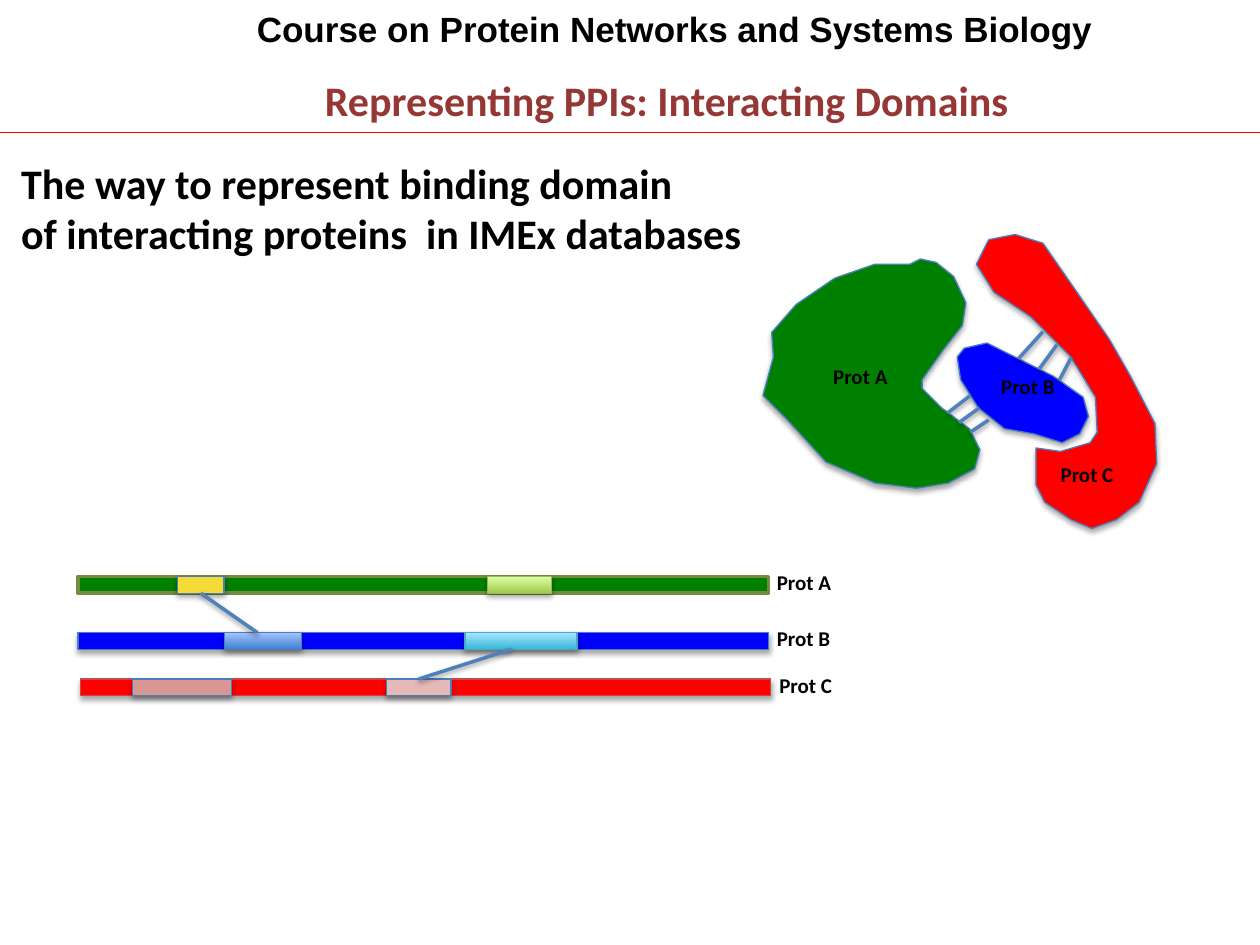
"""Build the slide on interacting protein domains."""
from dataclasses import dataclass
from typing import Optional

from lxml import etree
from pptx import Presentation
from pptx import util as u
from pptx.dml.color import RGBColor
from pptx.enum import shapes, text
from pptx.oxml.ns import qn

GREEN, BLUE, RED = "008000", "0000FF", "FF0000"
OUTLINE, LINK = "4B7EBC", "4F81BD"
BAR_WIDTH, BAR_HEIGHT = 394.5, 9.5
Point = tuple[float, float]


@dataclass(frozen=True)
class Shadow:
    alpha: int
    blur: float = 3.1
    distance: float = 1.8


SHAPE_SHADOW, LINK_SHADOW = Shadow(35), Shadow(38, distance=1.6)


@dataclass(frozen=True)
class Block:
    left: float
    top: float
    width: float
    fill: tuple[str, ...]
    line: str = OUTLINE
    weight: float = 0.75
    shadow: Optional[Shadow] = SHAPE_SHADOW


@dataclass(frozen=True)
class Label:
    lines: tuple[str, ...]
    left: float
    top: float
    width: float = 68
    height: float = 44
    size: float = 12
    font: str = "Calibri"
    color: str = "000000"
    wrap: bool = True


@dataclass(frozen=True)
class Protein:
    name: str
    bar: Block
    label_at: Point
    outline: tuple[Point, ...]


@dataclass(frozen=True)
class Link:
    start: Point
    end: Point
    color: str = LINK
    weight: float = 2
    shadow: Optional[Shadow] = LINK_SHADOW


PROTEINS = (
    Protein("Prot A", Block(44.6, 329.5, BAR_WIDTH, (GREEN,), "738A42", 2, None), (469, 204.5), (
        (520, 151), (500, 151), (477, 159), (455, 174), (441, 190), (442, 204), (436, 226),
        (450, 240), (472, 264), (500, 276), (524, 279), (542, 276), (557, 268), (560, 257),
        (554, 245), (538, 233), (527, 222), (527, 217), (539, 200), (550, 186), (552, 173),
        (545, 158), (535, 150), (526, 148))),
    Protein("Prot B", Block(44.6, 361.5, BAR_WIDTH, (BLUE,)), (565, 210), (
        (582, 205), (564, 196), (551, 199), (547, 204), (549, 217), (559, 233), (574, 245),
        (591, 248), (607, 253), (617, 248), (622, 238), (619, 227), (602, 215))),
    Protein("Prot C", Block(46, 388, BAR_WIDTH, (RED,), "BF4C48"), (599, 260), (
        (592, 256), (592, 277), (597, 287), (612, 297), (624, 302), (638, 297), (651, 287),
        (661, 265), (660, 242), (646, 215), (634, 194), (614, 165), (596, 139), (580, 134),
        (565, 137), (558, 151), (568, 167), (589, 181), (612, 204), (626, 227), (627, 247),
        (623, 253), (606, 258))),
)
TOP_A, TOP_B, TOP_C = (protein.bar.top for protein in PROTEINS)
YELLOW_DOMAIN = Block(101.5, TOP_A, 26.6, ("F5DB36",))
PINK_DOMAIN = Block(221, TOP_C, 36.7, ("E6B9B8",))
DOMAINS = (
    YELLOW_DOMAIN,
    Block(128.2, TOP_B, 43.9, ("3F80CE", "A4C4FF")),
    PINK_DOMAIN,
    Block(278.6, TOP_A, 36.7, ("A0CA4A", "DAFFA5"), "98B955"),
    Block(265.7, TOP_B, 64.1, ("39B7D8", "A7E6FF"), "46AAC5"),
    Block(75.6, TOP_C, 56.9, ("D99694",)),
)
DOMAIN_LINKS = (
    (Link((147, TOP_B), (114.8, TOP_A + BAR_HEIGHT)), YELLOW_DOMAIN, 2),
    (Link((292.3, TOP_B + BAR_HEIGHT), (239.4, TOP_C)), PINK_DOMAIN, 0),
)
CONTACT_FANS = (
    (Link((582, 205), (596, 189.5)), Link((605.5, 217), (612, 204.5))),
    (Link((541.5, 236), (554.5, 226)), Link((554.5, 247), (565, 240))),
)
HEADINGS = (
    Label(("Representing PPIs: Interacting Domains",), 178.6, 38.9, 411, 36, 24,
          color="953735", wrap=False),
    Label(("Course on Protein Networks and Systems Biology",), 139.7, 0.7, 568, 31.7, 20,
          "Arial"),
    Label(("The way to represent binding domain",
           "of interacting proteins  in IMEx databases"), 5, 86.4, 432, 65.5, 24, wrap=False),
)


def rgb(value: str) -> RGBColor:
    """Turn a hex string into a colour."""
    return RGBColor.from_string(value)


def set_shadow(shape, shadow: Optional[Shadow]) -> None:
    """Give a shape a downward shadow, or none at all."""
    effects = etree.SubElement(shape._element.spPr, qn("a:effectLst"))
    if shadow:
        outer = etree.SubElement(
            effects, qn("a:outerShdw"), blurRad=str(u.Pt(shadow.blur)),
            dist=str(u.Pt(shadow.distance)), dir="5400000", rotWithShape="0")
        color = etree.SubElement(outer, qn("a:srgbClr"), val="000000")
        etree.SubElement(color, qn("a:alpha"), val=str(shadow.alpha * 1000))


def paint(shape, fill: tuple[str, ...], line: str = OUTLINE, weight: float = 0.75,
          shadow: Optional[Shadow] = SHAPE_SHADOW) -> None:
    """Apply a solid fill or upward gradient, an outline and a shadow."""
    if len(fill) == 1:
        shape.fill.solid()
        shape.fill.fore_color.rgb = rgb(fill[0])
    else:
        shape.fill.gradient()
        shape.fill.gradient_angle = 90
        for stop, color in zip(shape.fill.gradient_stops, fill):
            stop.color.rgb = rgb(color)
    shape.line.color.rgb = rgb(line)
    shape.line.width = u.Pt(weight)
    set_shadow(shape, shadow)


def draw_block(page, block: Block):
    """Draw a protein bar or a domain on it."""
    shape = page.shapes.add_shape(
        shapes.MSO_SHAPE.RECTANGLE, u.Pt(block.left), u.Pt(block.top),
        u.Pt(block.width), u.Pt(BAR_HEIGHT))
    paint(shape, block.fill, block.line, block.weight, block.shadow)
    return shape


def draw_outline(page, protein: Protein) -> None:
    """Draw a protein as a closed outline."""
    builder = page.shapes.build_freeform(*protein.outline[0], scale=u.Pt(1))
    builder.add_line_segments(protein.outline[1:], close=True)
    paint(builder.convert_to_shape(), protein.bar.fill)


def draw_link(page, link: Link):
    """Draw a straight connector."""
    points = [u.Pt(value) for value in (*link.start, *link.end)]
    connector = page.shapes.add_connector(shapes.MSO_CONNECTOR.STRAIGHT, *points)
    connector.line.color.rgb = rgb(link.color)
    connector.line.width = u.Pt(link.weight)
    set_shadow(connector, link.shadow)
    return connector


def midpoint(first: Point, last: Point) -> Point:
    """Find the point halfway between two points."""
    return (first[0] + last[0]) / 2, (first[1] + last[1]) / 2


def draw_fan(page, first: Link, last: Link) -> None:
    """Draw two contact lines and a third one halfway between them."""
    middle = Link(midpoint(first.start, last.start), midpoint(first.end, last.end))
    for link in (first, middle, last):
        draw_link(page, link)


def draw_label(page, label: Label) -> None:
    """Draw bold text, one paragraph a line."""
    box = page.shapes.add_textbox(
        u.Pt(label.left), u.Pt(label.top), u.Pt(label.width), u.Pt(label.height))
    frame = box.text_frame
    frame.word_wrap = label.wrap
    frame.auto_size = text.MSO_AUTO_SIZE.SHAPE_TO_FIT_TEXT
    frame.text = "\n".join(label.lines)
    for para in frame.paragraphs:
        para.font.name, para.font.size, para.font.bold = label.font, u.Pt(label.size), True
        para.font.color.rgb = rgb(label.color)


def main() -> None:
    """Build and save the deck."""
    deck = Presentation()
    deck.slide_width, deck.slide_height = u.Pt(720), u.Pt(540)
    page = deck.slides.add_slide(deck.slide_layouts[6])
    draw_link(page, Link((0, 75.6), (720, 75.6), RED, 0.75, None))
    for protein in PROTEINS:
        draw_block(page, protein.bar)
    drawn = {domain: draw_block(page, domain) for domain in DOMAINS}
    for link, domain, side in DOMAIN_LINKS:
        draw_link(page, link).end_connect(drawn[domain], side)
    for protein in PROTEINS:
        draw_outline(page, protein)
    for first, last in CONTACT_FANS:
        draw_fan(page, first, last)
    for protein in PROTEINS:
        bar = protein.bar
        draw_label(page, Label((protein.name,), bar.left + 392.2, bar.top - 7.5))
        draw_label(page, Label((protein.name,), *protein.label_at))
    for heading in HEADINGS:
        draw_label(page, heading)
    deck.save("out.pptx")


if __name__ == "__main__":
    main()
